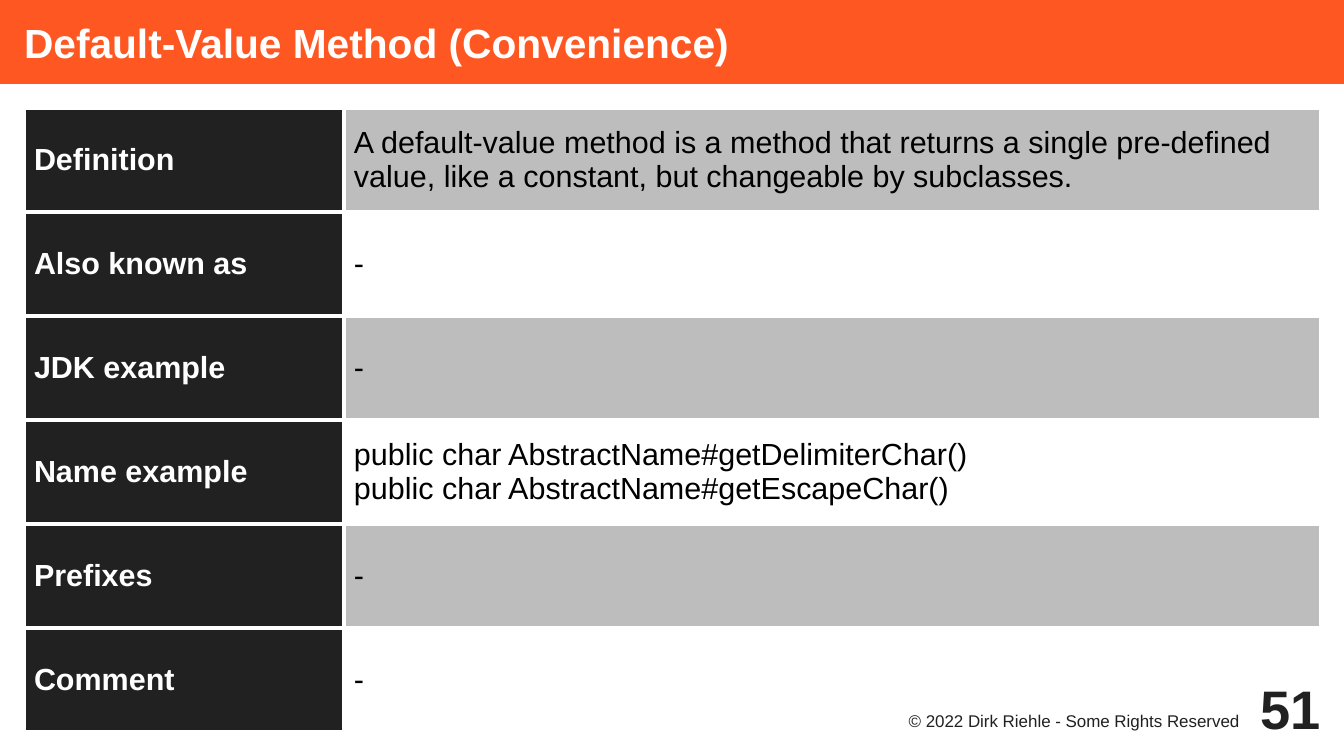
from lxml.etree import SubElement
from pptx import Presentation
from pptx.dml.color import RGBColor
from pptx.enum.text import MSO_ANCHOR, MSO_AUTO_SIZE, PP_ALIGN
from pptx.oxml.ns import qn
from pptx.util import Pt

PX = 7495
ORANGE, DARK, GREY, WHITE, BLACK = "FF5722", "212121", "BDBDBD", "FFFFFF", "000000"
ROWS = [
    ("Definition", "A default-value method is a method that returns a single "
                   "pre-defined value, like a constant, but changeable by subclasses."),
    ("Also known as", "-"),
    ("JDK example", "-"),
    ("Name example", "public char AbstractName#getDelimiterChar()\n"
                     "public char AbstractName#getEscapeChar()"),
    ("Prefixes", "-"),
    ("Comment", "-"),
]


def px(n):
    """Turn pixels into EMU."""
    return n * PX


def rgb(code):
    """Turn a hex string into a colour."""
    return RGBColor.from_string(code)


def set_all(obj, values):
    """Set each attribute of an object from a dict."""
    for name, value in values.items():
        setattr(obj, name, value)


def margins(left, top, right, bottom):
    """Return inner margins as format values."""
    names = ("margin_left", "margin_top", "margin_right", "margin_bottom")
    return dict(zip(names, map(px, (left, top, right, bottom))))


def write(tf, text, size, color, bold=False, align=PP_ALIGN.LEFT):
    """Fill a text frame and format its paragraphs."""
    tf.text = text
    for p in tf.paragraphs:
        p.alignment = align
        for r in p.runs:
            set_all(r.font, {"name": "Arial", "size": Pt(size), "bold": bold})
            r.font.color.rgb = rgb(color)


def add_title(s, text):
    """Turn the title placeholder into the banner."""
    sp = s.shapes.title
    set_all(sp, {"left": 0, "top": 0, "width": px(1344), "height": px(84)})
    sp.fill.solid()
    sp.fill.fore_color.rgb = rgb(ORANGE)
    set_all(sp.text_frame, {"vertical_anchor": MSO_ANCHOR.MIDDLE, "word_wrap": True,
                            "auto_size": MSO_AUTO_SIZE.NONE, **margins(24, 0, 0, 0)})
    write(sp.text_frame, text, 24, WHITE, True)


def add_borders(cell, color, width):
    """Draw the four borders of a cell."""
    tc_pr = cell._tc.get_or_add_tcPr()
    for i, side in enumerate(("lnL", "lnR", "lnT", "lnB")):
        ln = SubElement(tc_pr, qn(f"a:{side}"), w=str(Pt(width)))
        SubElement(SubElement(ln, qn("a:solidFill")), qn("a:srgbClr"), val=color)
        tc_pr.insert(i, ln)


def add_cell(cell, text, fill, color, bold):
    """Fill and format one table cell."""
    set_all(cell, {"vertical_anchor": MSO_ANCHOR.MIDDLE, **margins(10, 6, 10, 6)})
    cell.fill.solid()
    cell.fill.fore_color.rgb = rgb(fill)
    add_borders(cell, WHITE, 2.27)
    write(cell.text_frame, text, 18, color, bold)


def add_method_table(s, rows):
    """Add the table of method properties."""
    table = s.shapes.add_table(len(rows), 2, px(24), px(108), px(1297), px(104 * len(rows))).table
    set_all(table, {"first_row": False, "horz_banding": False})
    for column, width in zip(table.columns, (320, 977)):
        column.width = px(width)
    for i, (label, text) in enumerate(rows):
        table.rows[i].height = px(104)
        add_cell(table.cell(i, 0), label, DARK, WHITE, True)
        add_cell(table.cell(i, 1), text, WHITE if i % 2 else GREY, BLACK, False)


def add_footer(s, box, text, size, bold, anchor, inset):
    """Add a right-aligned footer text."""
    tf = s.shapes.add_textbox(*map(px, box)).text_frame
    set_all(tf, {"word_wrap": True, "vertical_anchor": anchor, **margins(*inset)})
    write(tf, text, size, DARK, bold, PP_ALIGN.RIGHT)


def main():
    """Build the slide and save it."""
    prs = Presentation()
    set_all(prs, {"slide_width": px(1344), "slide_height": px(756)})
    s = prs.slides.add_slide(prs.slide_layouts[5])
    add_title(s, "Default-Value Method (Convenience)")
    add_method_table(s, ROWS)
    add_footer(s, (865, 709, 384, 37), "© 2022 Dirk Riehle - Some Rights Reserved",
               10, False, MSO_ANCHOR.TOP, (0, 2, 10, 0))
    add_footer(s, (1225, 672, 96, 72), "51", 32, True, MSO_ANCHOR.MIDDLE, (0, 0, 0, 0))
    prs.save("out.pptx")


if __name__ == "__main__":
    main()
